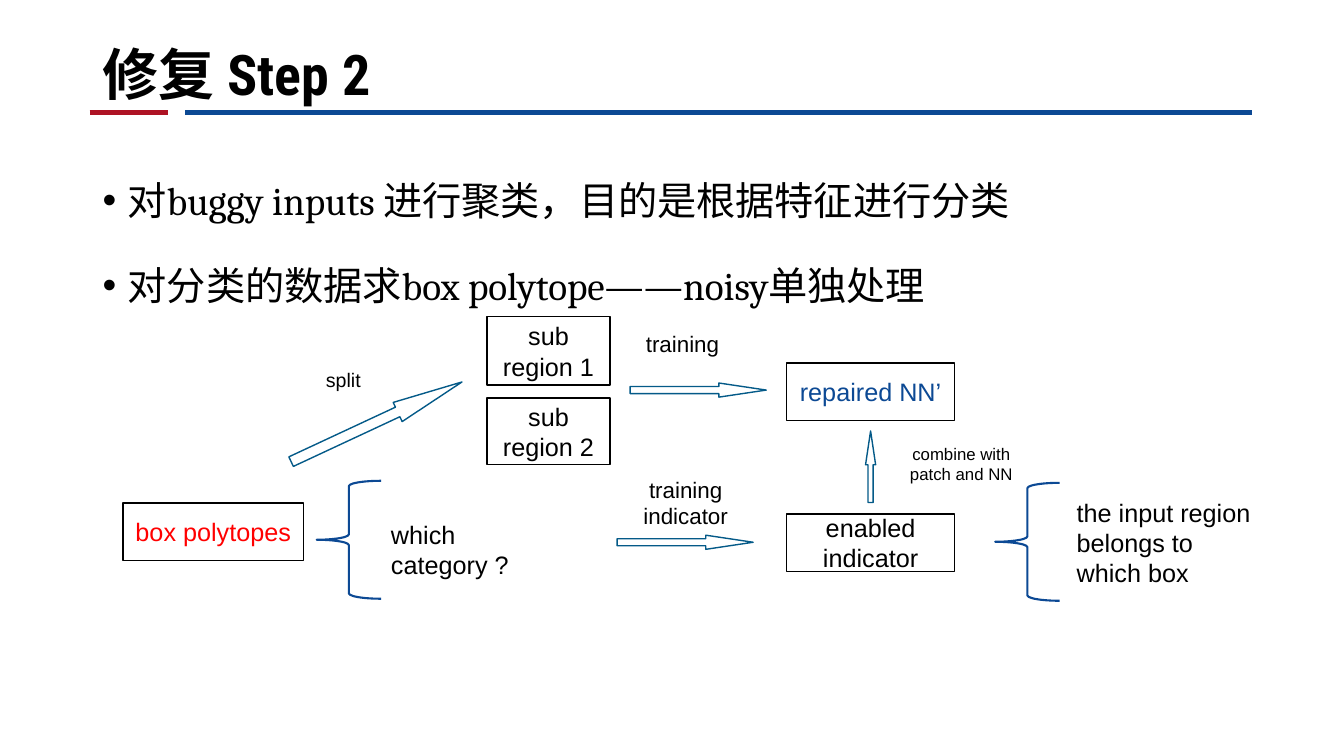
from lxml import etree
from pptx import Presentation, util as u
from pptx.dml.color import RGBColor
from pptx.enum import shapes, text
from pptx.oxml.ns import qn

BLACK, WHITE, RED = "000000", "FFFFFF", "FF0000"
BLUE, CRIMSON, TEAL = "0C4994", "AE1324", "045A88"
LEFT, CENTER = text.PP_ALIGN.LEFT, text.PP_ALIGN.CENTER
TOP, MIDDLE, BOTTOM = text.MSO_ANCHOR.TOP, text.MSO_ANCHOR.MIDDLE, text.MSO_ANCHOR.BOTTOM


def rgb(value):
    return RGBColor.from_string(value)


def inches(*lengths):
    return [u.Inches(length) for length in lengths]


def add_run(para, words, size, font="Arial", color=BLACK, bold=False):
    span = para.add_run()
    span.text = words
    span.font.size = u.Pt(size)
    span.font.name = font
    span.font.bold = bold
    span.font.color.rgb = rgb(color)


def write(frame, lines, size, color=BLACK, align=CENTER, anchor=TOP, font="Arial", bold=False):
    frame.word_wrap = True
    frame.auto_size = text.MSO_AUTO_SIZE.NONE
    frame.vertical_anchor = anchor
    for index, line in enumerate(lines):
        para = frame.add_paragraph() if index else frame.paragraphs[0]
        para.alignment = align
        add_run(para, line, size, font, color, bold)


def add_title(page, words):
    title = page.shapes.title
    title.left, title.top, title.width, title.height = inches(0.92, 0, 11.5, 1.12)
    write(title.text_frame, [words], 40, align=LEFT, anchor=BOTTOM,
          font="Roboto Condensed", bold=True)
    title.text_frame.paragraphs[0].line_spacing = 0.9


def add_rule(page, start, end, color):
    rule = page.shapes.add_connector(
        shapes.MSO_CONNECTOR.STRAIGHT, *inches(start, 1.12, end, 1.12))
    rule.line.color.rgb = rgb(color)
    rule.line.width = u.Pt(3.5)
    etree.SubElement(rule._element.spPr, qn("a:effectLst"))


def add_label(page, place, lines, size, align=CENTER):
    label = page.shapes.add_textbox(*inches(*place))
    write(label.text_frame, lines, size, align=align)


def add_bullets(page, place, lines):
    box = page.shapes.add_textbox(*inches(*place))
    write(box.text_frame, lines, 28, align=LEFT, font="Cambria")
    for para in box.text_frame.paragraphs:
        para.line_spacing = 1.5
        para.space_before = u.Pt(10)
        props = para._p.get_or_add_pPr()
        props.set("marL", str(u.Inches(0.25)))
        props.set("indent", str(u.Inches(-0.25)))
        etree.SubElement(props, qn("a:buFont")).set("typeface", "Arial")
        etree.SubElement(props, qn("a:buChar")).set("char", "•")


def add_outline(page, preset, place, color, width=1, fill=WHITE):
    shape = page.shapes.add_shape(preset, *inches(*place))
    shape.shadow.inherit = False
    if fill:
        shape.fill.solid()
        shape.fill.fore_color.rgb = rgb(fill)
    else:
        shape.fill.background()
    shape.line.color.rgb = rgb(color)
    shape.line.width = u.Pt(width)
    return shape


def add_process(page, place, lines, color=BLACK):
    box = add_outline(page, shapes.MSO_SHAPE.FLOWCHART_PROCESS, place, BLACK)
    write(box.text_frame, lines, 18, color, anchor=MIDDLE)


def add_arrow(page, place, rotation=0):
    arrow = add_outline(page, shapes.MSO_SHAPE.RIGHT_ARROW, place, TEAL)
    arrow.adjustments[0] = 0.5
    arrow.adjustments[1] = 3.353
    arrow.rotation = rotation


def add_brace(page, left, top):
    add_outline(page, shapes.MSO_SHAPE.LEFT_BRACE, (left, top, 0.64, 1.17), BLUE, 1.5, None)


def main():
    deck = Presentation()
    deck.slide_width, deck.slide_height = inches(13.33, 7.5)
    page = deck.slides.add_slide(deck.slide_layouts[5])

    add_rule(page, 0.89, 1.67, CRIMSON)
    add_rule(page, 1.84, 12.42, BLUE)
    add_title(page, "修复 Step 2")
    add_bullets(page, (0.92, 1.47, 11.5, 5.54), [
        "对buggy inputs 进行聚类，目的是根据特征进行分类",
        "对分类的数据求box polytope——noisy单独处理",
    ])

    add_process(page, (1.22, 4.99, 1.79, 0.57), ["box polytopes"], RED)
    add_process(page, (4.83, 3.14, 1.22, 0.68), ["sub region 1"])
    add_process(page, (4.83, 3.95, 1.22, 0.66), ["sub", "region 2"])
    add_process(page, (7.8, 3.6, 1.67, 0.57), ["repaired NN’"], BLUE)
    add_process(page, (7.8, 5.1, 1.67, 0.57), ["enabled indicator"])

    add_arrow(page, (2.8, 4.08, 1.87, 0.21), 335)
    add_arrow(page, (6.25, 3.8, 1.35, 0.14))
    add_arrow(page, (6.12, 5.31, 1.35, 0.14))
    add_arrow(page, (8.28, 4.58, 0.71, 0.1), 270)

    add_brace(page, 3.14, 4.77)
    add_brace(page, 9.87, 4.79)

    add_label(page, (2.92, 3.6, 0.97, 0.34), ["split"], 14)
    add_label(page, (6.19, 3.23, 1.22, 0.51), ["training "], 16)
    add_label(page, (6.19, 4.67, 1.22, 0.51), ["training indicator"], 16)
    add_label(page, (8.8, 4.35, 1.47, 0.51), ["combine with patch and NN"], 12)
    add_label(page, (3.78, 5.1, 2.07, 0.4), ["which category ?"], 18, LEFT)
    add_label(page, (10.58, 4.88, 1.92, 1.01),
              ["the input region", "belongs to which box"], 18, LEFT)

    deck.save("out.pptx")


if __name__ == "__main__":
    main()
